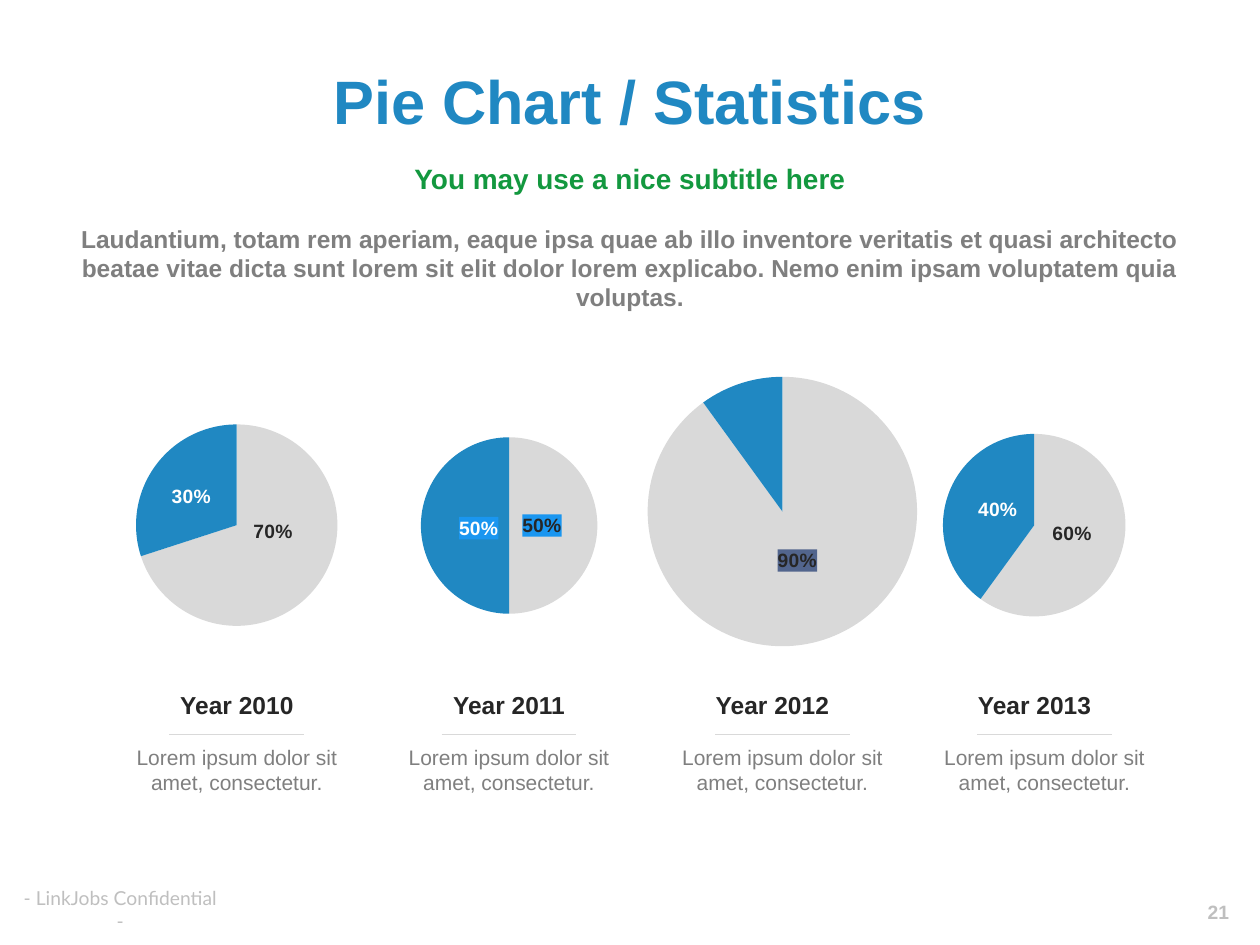
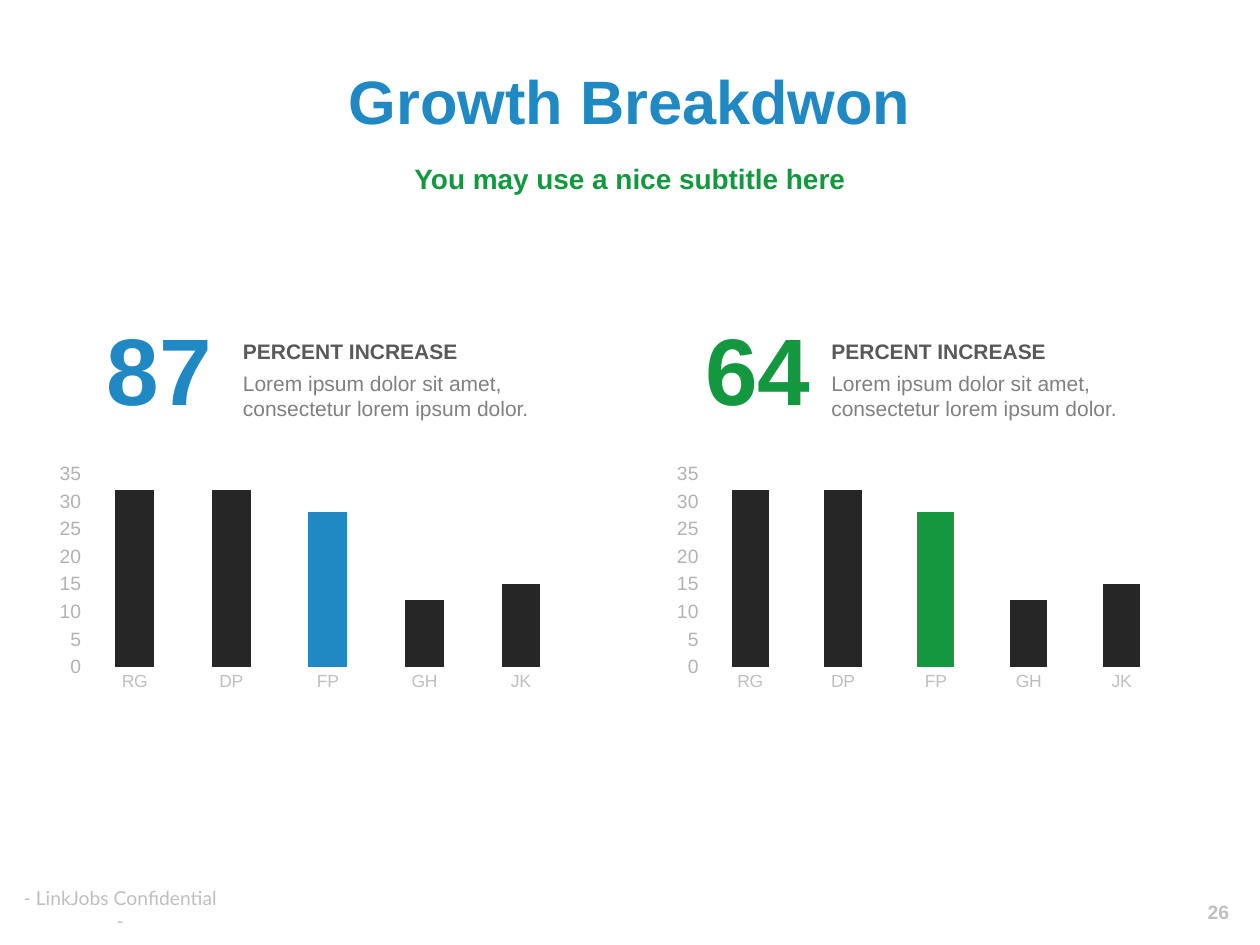
from math import cos, pi, sin

from lxml.etree import SubElement
from pptx import Presentation
from pptx.chart.data import CategoryChartData
from pptx.dml.color import RGBColor
from pptx.enum.chart import XL_CHART_TYPE, XL_TICK_MARK
from pptx.enum.shapes import MSO_CONNECTOR
from pptx.enum.text import MSO_ANCHOR, PP_ALIGN
from pptx.oxml import parse_xml
from pptx.oxml.ns import nsdecls, qn
from pptx.util import Inches, Pt

# Shared look
BLUE, GREEN, INK = "2088C2", "13983F", "262626"
GREY, PALE, FOOT, WHITE = "7F7F7F", "D9D9D9", "BFBFBF", "FFFFFF"
FONT = "Arial"
SUBTITLE = "You may use a nice subtitle here"
FOOTER = "- LinkJobs Confidential -"

# Pie slide: label spots are inches from the pie's centre
PIE_TITLE, PIE_PAGE = "Pie Chart / Statistics", "21"
INTRO = ("Laudantium, totam rem aperiam, eaque ipsa quae ab illo inventore veritatis et quasi "
         "architecto beatae vitae dicta sunt lorem sit elit dolor lorem explicabo. "
         "Nemo enim ipsam voluptatem quia voluptas.")
YEAR_NOTE = "Lorem ipsum dolor sit amet, consectetur."
YEARS = [
    dict(year="Year 2010", shares=(70, 30), pie_x=1.88, year_x=1.88, note_x=1.88,
         pie_y=4.17, diameter=1.6, spots=[(.29, .05), (-.36, -.23)], patch=None),
    dict(year="Year 2011", shares=(50, 50), pie_x=4.04, year_x=4.04, note_x=4.04,
         pie_y=4.17, diameter=1.4, spots=[(.26, 0), (-.24, .02)], patch="1A96F0"),
    dict(year="Year 2012", shares=(90, 10), pie_x=6.21, year_x=6.13, note_x=6.21,
         pie_y=4.06, diameter=2.14, spots=[(.12, .39), None], patch="52658D"),
    dict(year="Year 2013", shares=(60, 40), pie_x=8.21, year_x=8.21, note_x=8.29,
         pie_y=4.17, diameter=1.45, spots=[(.3, .06), (-.29, -.13)], patch=None),
]
PIE_W, PIE_H, PIE_TOP = 2.42, 3, 2.67

# Growth slide
GROWTH_TITLE, GROWTH_PAGE = "Growth Breakdwon", "26"
GROWTH_HEAD = "PERCENT INCREASE"
GROWTH_NOTE = "Lorem ipsum dolor sit amet, consectetur lorem ipsum dolor."
TEAMS, SCORES, MARKED = ("RG", "DP", "FP", "GH", "JK"), (32, 32, 28, 12, 15), 2
GROWTHS = [
    dict(number="87", accent=BLUE, number_x=.75, text_x=1.83, chart_x=.42, chart_w=4.42),
    dict(number="64", accent=GREEN, number_x=5.5, text_x=6.5, chart_x=5.33, chart_w=4.25),
]


def color(code):
    return RGBColor.from_string(code)


def set_font(font, size, code, bold=False, name=FONT):
    font.size, font.bold, font.name = Pt(size), bold, name
    font.color.rgb = color(code)


def add_text(slide, words, box, size, code, bold=False, align=PP_ALIGN.CENTER,
             anchor=MSO_ANCHOR.TOP, spacing=None, name=FONT):
    frame = slide.shapes.add_textbox(*map(Inches, box)).text_frame
    frame.word_wrap, frame.vertical_anchor = True, anchor
    frame.text = words
    paragraph = frame.paragraphs[0]
    paragraph.alignment = align
    if spacing:
        paragraph.line_spacing = spacing
    set_font(paragraph.runs[0].font, size, code, bold, name)


def add_rule(slide, center, y, width):
    ends = [Inches(v) for v in (center - width / 2, y, center + width / 2, y)]
    rule = slide.shapes.add_connector(MSO_CONNECTOR.STRAIGHT, *ends)
    rule.line.color.rgb, rule.line.width = color(PALE), Pt(.75)
    SubElement(rule._element.spPr, qn("a:effectLst"))


def add_chart(slide, kind, names, values, box, point_colors, plot_box):
    data = CategoryChartData()
    data.categories = names
    data.add_series("Series 1", values)
    chart = slide.shapes.add_chart(kind, *map(Inches, box), data).chart
    chart.has_legend = chart.has_title = False
    set_font(chart.font, 11, INK)
    chart.plots[0].vary_by_categories = False
    for i, code in enumerate(point_colors):
        fill = chart.plots[0].series[0].points[i].format.fill
        fill.solid()
        fill.fore_color.rgb = color(code)
    # Fixed inner plot area, as shares of the chart
    plot_area = chart._chartSpace.find(".//" + qn("c:plotArea"))
    for layout in plot_area.findall(qn("c:layout")):
        plot_area.remove(layout)
    sizes = "".join(f'<c:{k} val="{v:.3f}"/>' for k, v in zip("xywh", plot_box))
    plot_area.insert(0, parse_xml(
        f'<c:layout {nsdecls("c")}><c:manualLayout><c:layoutTarget val="inner"/>'
        f'<c:xMode val="edge"/><c:yMode val="edge"/>{sizes}</c:manualLayout></c:layout>'))
    return chart


def label_xml(index, shift, code, patch):
    """One percent label, moved from the middle of its slice."""
    fill = f'<a:solidFill><a:srgbClr val="{patch}"/></a:solidFill>' if patch else "<a:noFill/>"
    return (f'<c:dLbl><c:idx val="{index}"/><c:layout><c:manualLayout>'
            f'<c:x val="{shift[0]:.3f}"/><c:y val="{shift[1]:.3f}"/></c:manualLayout></c:layout>'
            f'<c:numFmt formatCode="0%" sourceLinked="0"/><c:spPr>{fill}</c:spPr>'
            f'<c:txPr><a:bodyPr/><a:p><a:pPr><a:defRPr sz="1100" b="1"><a:solidFill>'
            f'<a:srgbClr val="{code}"/></a:solidFill><a:latin typeface="{FONT}"/>'
            f'</a:defRPr></a:pPr><a:endParaRPr lang="en-US"/></a:p></c:txPr>'
            f'<c:dLblPos val="ctr"/>{SHOW_PERCENT}</c:dLbl>')


def show_flags(percent):
    kinds = ("LegendKey", "Val", "CatName", "SerName", "Percent", "BubbleSize")
    return "".join(f'<c:show{k} val="{int(percent and k == "Percent")}"/>' for k in kinds)


SHOW_PERCENT, SHOW_NONE = show_flags(True), show_flags(False)


def add_pie(slide, item):
    left, diameter = item["pie_x"] - PIE_W / 2, item["diameter"]
    plot_box = (.5 - diameter / 2 / PIE_W,
                (item["pie_y"] - diameter / 2 - PIE_TOP) / PIE_H,
                diameter / PIE_W, diameter / PIE_H)
    chart = add_chart(slide, XL_CHART_TYPE.PIE, ("1", "2"), item["shares"],
                      (left, PIE_TOP, PIE_W, PIE_H), (PALE, BLUE), plot_box)
    labels, start = "", 0
    for i, (share, spot) in enumerate(zip(item["shares"], item["spots"])):
        angle = 2 * pi * (start + share / 2) / 100
        start += share
        if spot:
            shift = ((spot[0] - diameter / 4 * sin(angle)) / PIE_W,
                     (spot[1] + diameter / 4 * cos(angle)) / PIE_H)
            labels += label_xml(i, shift, (INK, WHITE)[i], item["patch"])
    series = chart.plots[0].series[0]._element
    series.find(qn("c:cat")).addprevious(
        parse_xml(f'<c:dLbls {nsdecls("c", "a")}>{labels}{SHOW_NONE}</c:dLbls>'))


def add_columns(slide, item):
    colors = [item["accent"] if i == MARKED else INK for i in range(len(TEAMS))]
    chart = add_chart(slide, XL_CHART_TYPE.COLUMN_CLUSTERED, TEAMS, SCORES,
                      (item["chart_x"], 2.67, item["chart_w"], 3.03), colors,
                      (.06, .359, .867, .506))
    chart.plots[0].gap_width = 150
    scale = chart.value_axis
    scale.minimum_scale, scale.maximum_scale, scale.major_unit = 0, 35, 5
    for axis, size, code in ((chart.category_axis, 10, FOOT), (scale, 11, "B2B2B2")):
        axis.has_major_gridlines = False
        axis.major_tick_mark = axis.minor_tick_mark = XL_TICK_MARK.NONE
        axis.format.line.fill.background()
        set_font(axis.tick_labels.font, size, code)


def add_slide(deck, title, page):
    slide = deck.slides.add_slide(deck.slide_layouts[6])
    middle = MSO_ANCHOR.MIDDLE
    add_text(slide, FOOTER, (.08, 7.02, 1.75, .4), 11, FOOT, anchor=middle, name="Lato")
    add_text(slide, title, (.5, .42, 9, .75), 35, BLUE, True, anchor=middle)
    add_text(slide, SUBTITLE, (.5, 1.17, 9, .47), 16, GREEN, True, anchor=middle, spacing=1.1)
    add_text(slide, page, (9.42, 7.04, .5, .4), 11, FOOT, True, anchor=middle)
    return slide


def main():
    deck = Presentation()
    deck.slide_width, deck.slide_height = Inches(10), Inches(7.5)

    # Pies by year
    slide = add_slide(deck, PIE_TITLE, PIE_PAGE)
    add_text(slide, INTRO, (.5, 1.86, 9, .53), 14, GREY, True, anchor=MSO_ANCHOR.MIDDLE)
    for item in YEARS:
        add_pie(slide, item)
        add_text(slide, item["year"], (item["year_x"] - .71, 5.47, 1.42, .3), 14, INK, True,
                 spacing=Pt(14))
        add_rule(slide, item["note_x"], 5.83, 1.07)
        add_text(slide, YEAR_NOTE, (item["note_x"] - .96, 5.86, 1.92, .89), 12, GREY)

    # Growth figures with their columns
    slide = add_slide(deck, GROWTH_TITLE, GROWTH_PAGE)
    for item in GROWTHS:
        add_columns(slide, item)
        for words, x, y, width, height, size, code, bold in (
                (item["number"], item["number_x"], 2.42, 1.08, 1.17, 54, item["accent"], True),
                (GROWTH_HEAD, item["text_x"], 2.64, 2.25, .33, 12, "595959", True),
                (GROWTH_NOTE, item["text_x"], 2.89, 2.5, .5, 12, "808080", False)):
            add_text(slide, words, (x, y, width, height), size, code, bold, PP_ALIGN.LEFT)

    deck.save("out.pptx")


if __name__ == "__main__":
    main()
